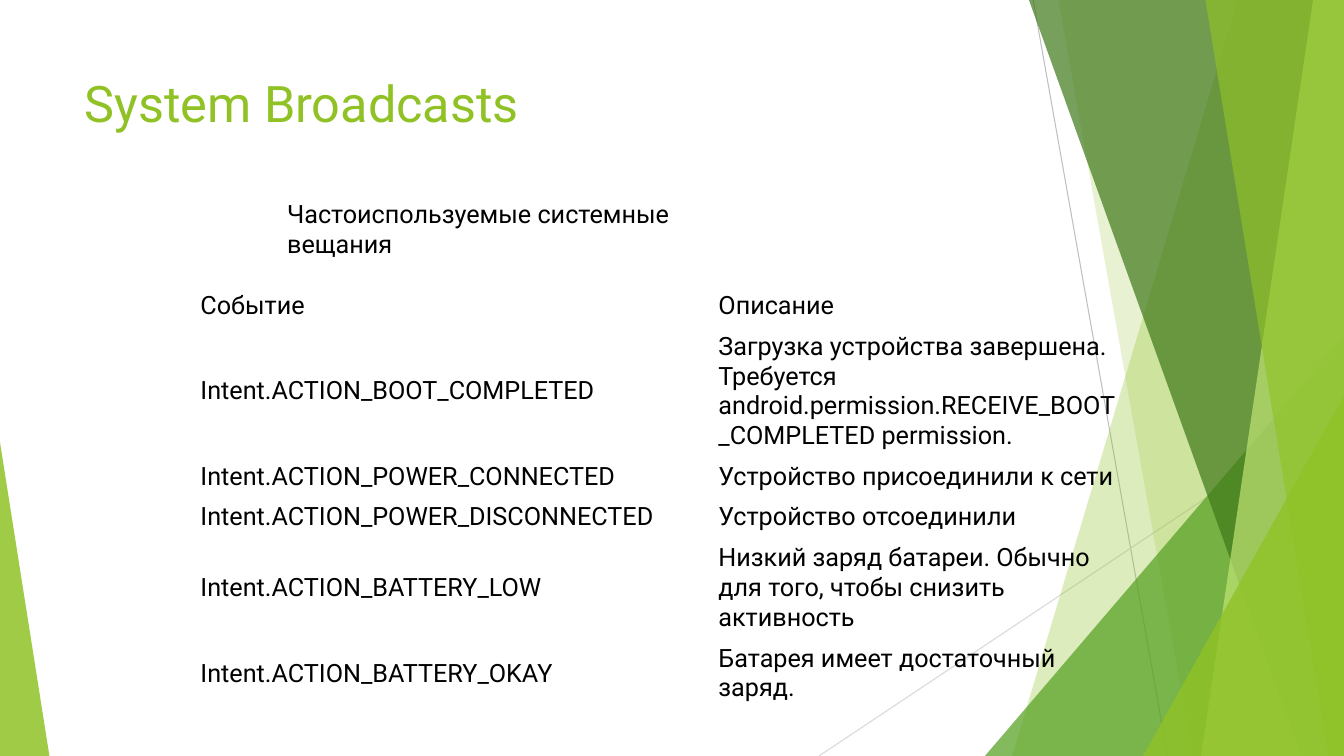
from dataclasses import dataclass

from lxml.etree import SubElement
from pptx import Presentation
from pptx.dml.color import RGBColor
from pptx.enum.shapes import MSO_CONNECTOR as CONN, MSO_SHAPE as SHAPE
from pptx.enum.text import MSO_ANCHOR as ANCHOR
from pptx.oxml.ns import qn
from pptx.util import Pt


@dataclass(frozen=True)
class Theme:
    font: str = "Roboto"
    title_size: int = 36
    body_size: int = 18
    text: str = "000000"
    lime: str = "90C226"
    pale: str = "C0E474"
    green: str = "54A021"
    forest: str = "3F7819"
    grey: str = "BFBFBF"
    light_grey: str = "D9D9D9"


THEME = Theme()
WIDTH, HEIGHT = 960, 540
LINE_HEIGHT, CELL_PADDING = 21.1, 7.2
NO_GRID_STYLE = "{2D5ABB26-0587-4C30-8999-92F81FD0307C}"

# Event, description, lines the description takes
BROADCASTS = [
    ("Событие", "Описание", 1),
    ("Intent.ACTION_BOOT_COMPLETED",
     "Загрузка устройства завершена. Требуется "
     "android.permission.RECEIVE_BOOT_COMPLETED permission.", 4),
    ("Intent.ACTION_POWER_CONNECTED", "Устройство присоединили к сети", 1),
    ("Intent.ACTION_POWER_DISCONNECTED", "Устройство отсоединили", 1),
    ("Intent.ACTION_BATTERY_LOW",
     "Низкий заряд батареи. Обычно для того, чтобы снизить активность", 3),
    ("Intent.ACTION_BATTERY_OKAY", "Батарея имеет достаточный заряд.", 2),
]


def paint(sp, color, opacity):
    """Flat translucent fill without outline or shadow."""
    sp.shadow.inherit = False
    sp.line.fill.background()
    sp.fill.solid()
    sp.fill.fore_color.rgb = RGBColor.from_string(color)
    clr = sp.fill._xPr.find(qn("a:solidFill"))[0]
    SubElement(clr, qn("a:alpha"), val=str(opacity * 1000))


def add_facet(s, top_x, bottom_x, color, opacity):
    """Full-height panel from a slanted left edge to the slide's right edge."""
    builder = s.shapes.build_freeform(Pt(top_x), 0)
    builder.add_line_segments(
        [(Pt(WIDTH), 0), (Pt(WIDTH), Pt(HEIGHT)), (Pt(bottom_x), Pt(HEIGHT))])
    paint(builder.convert_to_shape(), color, opacity)


def add_corner(s, x, y, w, apex, color, opacity):
    """Triangle standing on the bottom edge; apex 0 is left, 1 is right."""
    sp = s.shapes.add_shape(SHAPE.ISOSCELES_TRIANGLE, Pt(x), Pt(y), Pt(w), Pt(HEIGHT - y))
    sp.adjustments[0] = apex
    paint(sp, color, opacity)


def add_hairline(s, x1, y1, x2, y2, color):
    line = s.shapes.add_connector(CONN.STRAIGHT, Pt(x1), Pt(y1), Pt(x2), Pt(y2))
    line.line.width = Pt(0.75)
    line.line.color.rgb = RGBColor.from_string(color)
    SubElement(line._element.spPr, qn("a:effectLst"))


def write(tf, text, size, color):
    tf.word_wrap = True
    r = tf.paragraphs[0].add_run()
    r.text = text
    r.font.name = THEME.font
    r.font.size = Pt(size)
    r.font.color.rgb = RGBColor.from_string(color)


def add_text(s, x, y, w, h, text, size, color):
    sp = s.shapes.add_textbox(Pt(x), Pt(y), Pt(w), Pt(h))
    write(sp.text_frame, text, size, color)


def add_plain_table(s, x, y, col_widths, rows):
    heights = [lines * LINE_HEIGHT + CELL_PADDING for *_, lines in rows]
    frame = s.shapes.add_table(len(rows), len(col_widths), Pt(x), Pt(y),
                               Pt(sum(col_widths)), Pt(sum(heights)))
    table = frame.table
    table.first_row = table.horz_banding = False
    table._tbl.tblPr.find(qn("a:tableStyleId")).text = NO_GRID_STYLE
    for column, width in zip(table.columns, col_widths):
        column.width = Pt(width)
    for row, height, (*texts, _) in zip(table.rows, heights, rows):
        row.height = Pt(height)
        for cell, text in zip(row.cells, texts):
            cell.fill.background()
            cell.vertical_anchor = ANCHOR.MIDDLE
            write(cell.text_frame, text, THEME.body_size, THEME.text)


def main():
    prs = Presentation()
    prs.slide_width, prs.slide_height = Pt(WIDTH), Pt(HEIGHT)
    s = prs.slides.add_slide(prs.slide_layouts[6])

    # Faceted background
    add_hairline(s, 738, 0, 834, HEIGHT, THEME.grey)
    add_hairline(s, WIDTH, 290, 585, HEIGHT, THEME.light_grey)
    add_facet(s, 884, 723, THEME.lime, 30)
    add_facet(s, 756, 852, THEME.lime, 20)
    add_corner(s, 703.5, 240, 256.5, 1, THEME.green, 72)
    add_facet(s, 735, 929.5, THEME.forest, 70)
    add_facet(s, 938, 858, THEME.pale, 70)
    add_facet(s, 861, 949, THEME.lime, 65)
    add_corner(s, 816.5, 283, 143.5, 1, THEME.lime, 80)
    add_corner(s, 0, 316, 35.3, 0, THEME.lime, 85)

    # Title
    add_text(s, 53.3, 48.2, 676.8, 103.7, "System Broadcasts",
             THEME.title_size, THEME.lime)

    # Table and its caption
    add_plain_table(s, 136, 203.8, [370, 300.2], BROADCASTS)
    add_text(s, 198, 138.2, 330.5, 28.8, "Частоиспользуемые системные вещания",
             THEME.body_size, THEME.text)

    prs.save("out.pptx")


if __name__ == "__main__":
    main()
